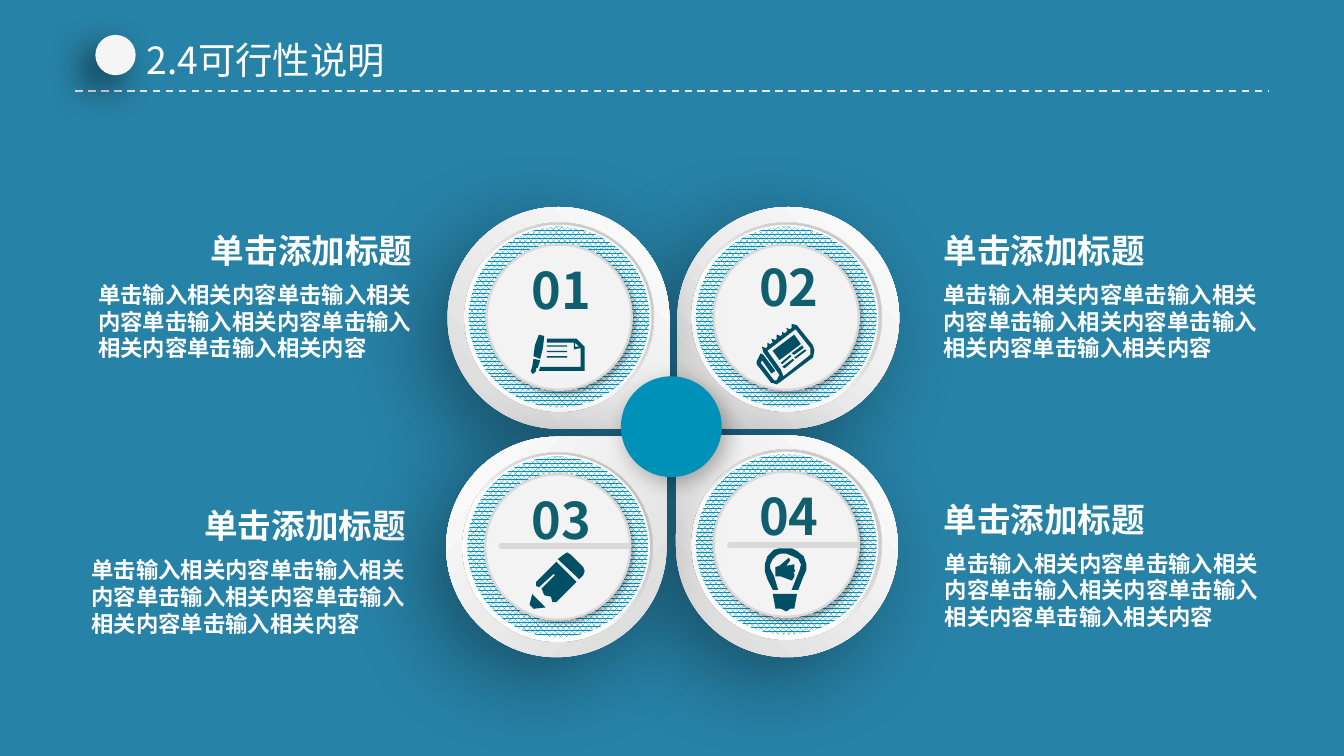
import pptx
import pptx.util
import pptx.dml.color
import pptx.enum.dml
import pptx.enum.shapes
import pptx.enum.text
import pptx.oxml.ns
from lxml import etree

Inches, Pt = pptx.util.Inches, pptx.util.Pt
RGBColor = pptx.dml.color.RGBColor
SHAPE = pptx.enum.shapes.MSO_SHAPE
ALIGN = pptx.enum.text.PP_ALIGN
qn = pptx.oxml.ns.qn

BLUE = RGBColor(0x27, 0x82, 0xA7)
CYAN = RGBColor(0x00, 0x91, 0xB8)
TEAL = RGBColor(0x0F, 0x5F, 0x6E)
ICON = RGBColor(0x00, 0x4F, 0x64)
WHITE = RGBColor(0xFF, 0xFF, 0xFF)
PALE = RGBColor(0xF5, 0xF5, 0xF5)
FACE = RGBColor(0xF3, 0xF3, 0xF3)
SILVER = RGBColor(0xD9, 0xD9, 0xD9)
DASH = RGBColor(0xE7, 0xE6, 0xE6)
GRAY = RGBColor(0x80, 0x80, 0x80)

TITLE = "2.4可行性说明"
HEADING = "单击添加标题"
BODY = "单击输入相关内容" * 5
CJK_FONT = "Noto Sans CJK SC"
LEADING = 1.2

# Icon outlines: closed contours in hundredths of an inch on the slide
NEWSPAPER = [
    [(570, 259), (571, 258), (571, 255), (573, 256), (575, 255), (574, 252), (577, 253),
     (578, 252), (578, 249), (581, 250), (582, 249), (582, 247), (584, 248), (586, 246),
     (585, 244), (588, 245), (589, 244), (589, 241), (593, 242), (605, 257), (606, 261),
     (605, 266), (581, 284), (578, 286), (575, 285), (574, 285), (563, 271), (563, 269),
     (566, 263), (568, 264), (577, 276), (574, 278), (567, 268), (566, 270), (576, 283),
     (578, 283), (580, 279), (578, 276), (568, 262), (567, 258)],
    [(575, 261), (580, 268), (596, 256), (591, 249)],
    [(591, 266), (592, 267), (600, 261), (599, 260)],
    [(582, 273), (584, 274), (591, 268), (590, 267)],
    [(589, 263), (591, 264), (598, 259), (597, 257)],
    [(581, 270), (582, 271), (589, 265), (588, 264)],
    [(592, 245), (571, 261), (581, 275), (583, 280), (603, 264), (603, 259)],
]
PEN_AND_PAPER = [
    [(401, 249), (405, 250), (404, 259), (402, 267), (397, 265), (398, 257)],
    [(402, 273), (401, 276), (435, 276), (435, 258), (429, 252), (407, 252), (407, 255),
     (427, 255), (427, 260), (432, 259), (432, 273)],
    [(431, 258), (428, 258), (428, 255)],
    *[[(407, y), (422, y), (422, y + 1), (407, y + 1)] for y in (257, 261, 265)],
    [(396, 273), (399, 274), (399, 276), (397, 278), (396, 278), (395, 276)],
    [(397, 267), (396, 273), (400, 274), (402, 268)],
]
LIGHT_BULB = [
    [(575, 442), (593, 442), (591, 453), (588, 453), (585, 455), (581, 453), (577, 453)],
    [(591, 420), (591, 424), (592, 424), (591, 426), (590, 426), (591, 427), (591, 429),
     (590, 431), (589, 432), (581, 429), (577, 429), (577, 422), (580, 421), (587, 415),
     (588, 417), (585, 421)],
    [(575, 439), (579, 439), (576, 429), (573, 423), (573, 420), (575, 416), (578, 413),
     (581, 412), (585, 412), (590, 414), (594, 416), (596, 420), (595, 424), (593, 429),
     (589, 439), (594, 439), (597, 431), (600, 424), (600, 420), (598, 414), (593, 410),
     (589, 408), (585, 408), (580, 408), (576, 409), (571, 414), (569, 420), (569, 425),
     (571, 431)],
]
PENCIL = [
    [(431, 431), (434, 428), (435, 425), (434, 422), (425, 413), (422, 411), (419, 413),
     (415, 416)],
    [(418, 422), (429, 433), (414, 448), (411, 448), (410, 444), (405, 443), (403, 438),
     (413, 428), (412, 427), (401, 437), (399, 436), (399, 433), (414, 418)],
    [(396, 442), (394, 450), (397, 453), (406, 452)],
]

# petal left, top and size; disc centre; teardrop rotation and gradient angle; number; bar
UPPER_PETALS = [
    dict(number="02", icon=NEWSPAPER, petal=(5.04, 1.54, 1.65), disc=(5.85, 2.36),
         rotation=180, angle=135, label=(5.55, 1.86), bar=None),
    dict(number="01", icon=PEN_AND_PAPER, petal=(3.33, 1.54, 1.65), disc=(4.16, 2.36),
         rotation=90, angle=225, label=(3.86, 1.88), bar=None),
]
LOWER_PETALS = [
    dict(number="04", icon=LIGHT_BULB, petal=(5.03, 3.24, 1.65), disc=(5.85, 4.05),
         rotation=270, angle=45, label=(5.55, 3.56), bar=(5.26, 3.45)),
    dict(number="03", icon=PENCIL, petal=(3.32, 3.25, 1.64), disc=(4.15, 4.07),
         rotation=0, angle=225, label=(3.86, 3.59), bar=(3.56, 3.46)),
]
# heading left, top, width; body left, top
CAPTIONS = [
    ((6.95, 1.67, 1.99), (6.95, 2.05)),
    ((6.95, 3.67, 1.99), (6.96, 4.05)),
    ((1.5, 1.67, 1.73), (0.66, 2.05)),
    ((1.45, 3.72, 1.73), (0.61, 4.1)),
]


def add_shadow(shape, alpha, blur, distance, direction):
    effects = shape._element.spPr.find(qn("a:effectLst"))
    shadow = etree.SubElement(effects, qn("a:outerShdw"), blurRad=str(Pt(blur)),
                              dist=str(Pt(distance)), dir=str(direction * 60000),
                              algn="ctr", rotWithShape="0")
    color = etree.SubElement(shadow, qn("a:srgbClr"), val="000000")
    etree.SubElement(color, qn("a:alpha"), val=str(alpha * 1000))


def style(shape, fill=None, line=None, width=1, shadow=None):
    shape.shadow.inherit = False
    if fill is not None:
        shape.fill.solid()
        shape.fill.fore_color.rgb = fill
    if line is None:
        shape.line.fill.background()
    else:
        shape.line.color.rgb = line
        shape.line.width = Pt(width)
    if shadow:
        add_shadow(shape, *shadow)


def add_square(shapes, kind, left, top, size, **look):
    """Add a preset shape of equal width and height."""
    shape = shapes.add_shape(kind, *map(Inches, (left, top, size, size)))
    style(shape, **look)
    return shape


def add_disc(shapes, centre, size, **look):
    x, y = centre
    return add_square(shapes, SHAPE.OVAL, x - size / 2, y - size / 2, size, **look)


def set_gradient(shape, stops, angle):
    """Fill with two (position, colour, opacity in percent) stops; angle is clockwise."""
    shape.fill.gradient()
    shape.fill.gradient_angle = (360 - angle) % 360
    elements = shape._element.iter(qn("a:gs"))
    for stop, element, (position, color, opacity) in zip(shape.fill.gradient_stops,
                                                         elements, stops):
        stop.position = position
        stop.color.rgb = color
        if opacity < 100:
            etree.SubElement(element[0], qn("a:alpha"), val=str(opacity * 1000))


def add_text(shapes, text, box, size, font, color=WHITE, bold=False, wrap=True,
             inset=(0.07, 0.04), align=None):
    text_box = shapes.add_textbox(*map(Inches, box))
    frame = text_box.text_frame
    frame.word_wrap = wrap
    frame.auto_size = pptx.enum.text.MSO_AUTO_SIZE.SHAPE_TO_FIT_TEXT
    frame.margin_left = frame.margin_right = Inches(inset[0])
    frame.margin_top = frame.margin_bottom = Inches(inset[1])
    paragraph = frame.paragraphs[0]
    paragraph.text = text
    paragraph.alignment = align
    paragraph.line_spacing = Pt(size * LEADING)
    paragraph.font.size, paragraph.font.bold = Pt(size), bold
    paragraph.font.name = font
    paragraph.font.color.rgb = color
    for run in paragraph.runs:
        etree.SubElement(run._r.get_or_add_rPr(), qn("a:ea"), typeface=font)


def add_icon(shapes, contours):
    first, *others = contours
    builder = shapes.build_freeform(*first[0], scale=Inches(0.01))
    builder.add_line_segments(first[1:], close=True)
    for contour in others:
        builder.move_to(*contour[0])
        builder.add_line_segments(contour[1:], close=True)
    style(builder.convert_to_shape(), ICON)


def add_petal(slide, number, icon, petal, disc, rotation, angle, label, bar):
    shapes = slide.shapes.add_group_shape().shapes
    drop = add_square(shapes, SHAPE.TEAR, *petal, shadow=(36, 46, 16, 135))
    drop.rotation = rotation
    set_gradient(drop, [(0, SILVER, 100), (1, WHITE, 100)], angle)
    rim = add_disc(shapes, disc, 1.41)
    set_gradient(rim, [(0, GRAY, 34), (0.59, WHITE, 100)], 135)
    ring = add_disc(shapes, disc, 1.36, line=WHITE)
    ring.fill.patterned()
    ring.fill.pattern = pptx.enum.dml.MSO_PATTERN.PERCENT_80
    ring.fill.fore_color.rgb, ring.fill.back_color.rgb = CYAN, WHITE
    add_disc(shapes, disc, 1.08, fill=FACE, line=SILVER, width=1.25, shadow=(32, 3, 2, 45))
    if bar:
        minus = shapes.add_shape(SHAPE.MATH_MINUS, *map(Inches, (*bar, 1.29, 1.21)))
        minus.adjustments[0] = 0
        minus.fill.background()
        style(minus, line=SILVER, width=3)
    add_text(shapes, number, (*label, 0.67, 0.56), 27, CJK_FONT, TEAL, bold=True,
             wrap=False, inset=(0.1, 0.05))
    add_icon(shapes, icon)


def main():
    presentation = pptx.Presentation()
    presentation.slide_width = Inches(10)
    presentation.slide_height = Inches(10 * 9 / 16)
    slide = presentation.slides.add_slide(presentation.slide_layouts[6])
    slide.background.fill.solid()
    slide.background.fill.fore_color.rgb = BLUE

    rule = slide.shapes.add_connector(pptx.enum.shapes.MSO_CONNECTOR.STRAIGHT,
                                      *map(Inches, (0.56, 0.68, 9.44, 0.68)))
    rule.line.color.rgb, rule.line.width = DASH, Pt(1)
    rule.line.dash_style = pptx.enum.dml.MSO_LINE.DASH
    etree.SubElement(rule._element.spPr, qn("a:effectLst"))
    add_square(slide.shapes, SHAPE.OVAL, 0.71, 0.26, 0.3, fill=PALE,
               shadow=(60, 20, 10, 135))
    add_text(slide.shapes, TITLE, (0.99, 0.23, 2.05, 0.44), 20, CJK_FONT, wrap=False,
             inset=(0.1, 0.05))

    for petal in UPPER_PETALS:
        add_petal(slide, **petal)
    for heading, body in CAPTIONS:
        add_text(slide.shapes, BODY, (*body, 2.52, 0.68), 12, "Arial", bold=True)
        add_text(slide.shapes, HEADING, (*heading, 0.38), 18, "Arial", bold=True,
                 align=ALIGN.JUSTIFY)
    for petal in LOWER_PETALS:
        add_petal(slide, **petal)
    add_square(slide.shapes, SHAPE.OVAL, 4.62, 2.8, 0.75, fill=CYAN, shadow=(30, 12, 4, 45))
    presentation.save("out.pptx")


if __name__ == "__main__":
    main()
